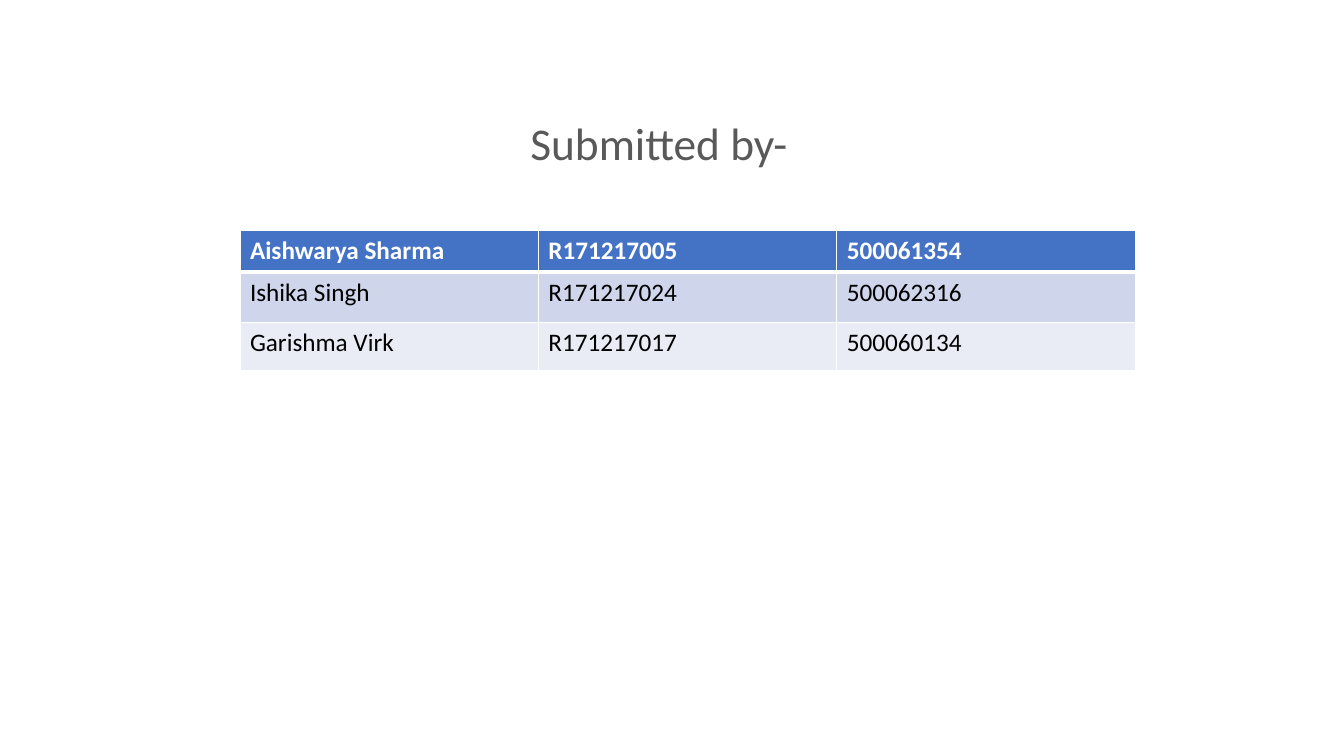
from dataclasses import dataclass

import lxml.etree
import pptx
import pptx.dml.color
import pptx.enum.text
import pptx.oxml.ns
import pptx.table
import pptx.util
from pptx.dml.color import RGBColor
from pptx.util import Inches

WHITE = RGBColor(0xFF, 0xFF, 0xFF)
BLACK = RGBColor(0x00, 0x00, 0x00)
TITLE_GRAY = RGBColor(0x59, 0x59, 0x59)
HEADER_BLUE = RGBColor(0x44, 0x72, 0xC4)
BAND_DARK = RGBColor(0xCF, 0xD5, 0xEA)
BAND_LIGHT = RGBColor(0xE9, 0xEB, 0xF5)
FONT = "Calibri"
COLUMN_WIDTH = 2.96


@dataclass(frozen=True)
class StudentRow:
    values: tuple[str, str, str]
    height: float
    fill: RGBColor
    color: RGBColor = BLACK
    bold: bool = False
    top_border: float = 1
    bottom_border: float = 1


STUDENTS = [
    StudentRow(("Aishwarya Sharma", "R171217005", "500061354"), 0.41,
               HEADER_BLUE, WHITE, bold=True, bottom_border=3),
    StudentRow(("Ishika Singh", "R171217024", "500062316"), 0.5, BAND_DARK, top_border=3),
    StudentRow(("Garishma Virk", "R171217017", "500060134"), 0.48, BAND_LIGHT),
]


def add_border(cell: pptx.table._Cell, side: str, width: float) -> None:
    properties = cell._tc.get_or_add_tcPr()
    line = lxml.etree.SubElement(properties, pptx.oxml.ns.qn(f"a:ln{side}"),
                                 w=str(pptx.util.Pt(width)))
    fill = lxml.etree.SubElement(line, pptx.oxml.ns.qn("a:solidFill"))
    lxml.etree.SubElement(fill, pptx.oxml.ns.qn("a:srgbClr"), val=str(WHITE))


def draw_cell(cell: pptx.table._Cell, text: str, student: StudentRow) -> None:
    borders = {"L": 1, "R": 1, "T": student.top_border, "B": student.bottom_border}
    for side, width in borders.items():
        add_border(cell, side, width)
    cell.fill.solid()
    cell.fill.fore_color.rgb = student.fill
    cell.text = text
    font = cell.text_frame.paragraphs[0].font
    font.name = FONT
    font.size = pptx.util.Pt(18)
    font.bold = student.bold
    font.color.rgb = student.color


def add_title(slide: pptx.slide.Slide) -> None:
    shape = slide.shapes.add_textbox(Inches(-0.13), Inches(1.39), Inches(13.33), Inches(0.62))
    frame = shape.text_frame
    frame.word_wrap = True
    frame.auto_size = pptx.enum.text.MSO_AUTO_SIZE.NONE
    frame.vertical_anchor = pptx.enum.text.MSO_ANCHOR.MIDDLE
    frame.margin_bottom = Inches(0.55)
    paragraph = frame.paragraphs[0]
    paragraph.text = "Submitted by-"
    paragraph.alignment = pptx.enum.text.PP_ALIGN.CENTER
    paragraph.line_spacing = 0.9
    paragraph.font.name = FONT
    paragraph.font.size = pptx.util.Pt(32.4)
    paragraph.font.color.rgb = TITLE_GRAY


def add_students(slide: pptx.slide.Slide) -> None:
    column_count = len(STUDENTS[0].values)
    height = sum(student.height for student in STUDENTS)
    table = slide.shapes.add_table(
        len(STUDENTS), column_count, Inches(2.38), Inches(2.29),
        Inches(COLUMN_WIDTH * column_count), Inches(height)).table
    for column in table.columns:
        column.width = Inches(COLUMN_WIDTH)
    for row, student in zip(table.rows, STUDENTS):
        row.height = Inches(student.height)
        for cell, text in zip(row.cells, student.values):
            draw_cell(cell, text, student)


def main() -> None:
    presentation = pptx.Presentation()
    presentation.slide_width = Inches(13.33)
    presentation.slide_height = Inches(7.5)
    slide = presentation.slides.add_slide(presentation.slide_layouts[6])
    add_title(slide)
    add_students(slide)
    presentation.save("out.pptx")


if __name__ == "__main__":
    main()
